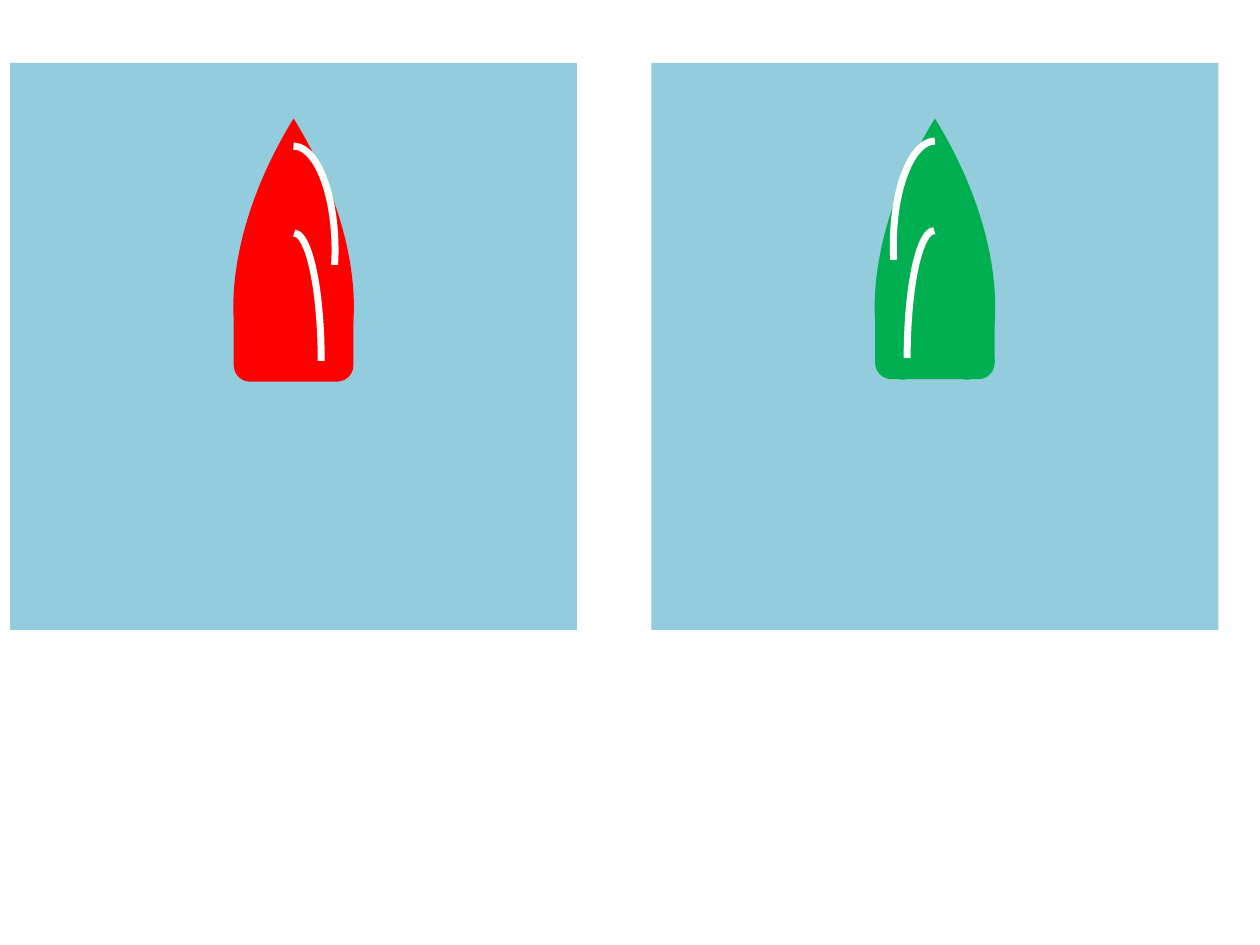
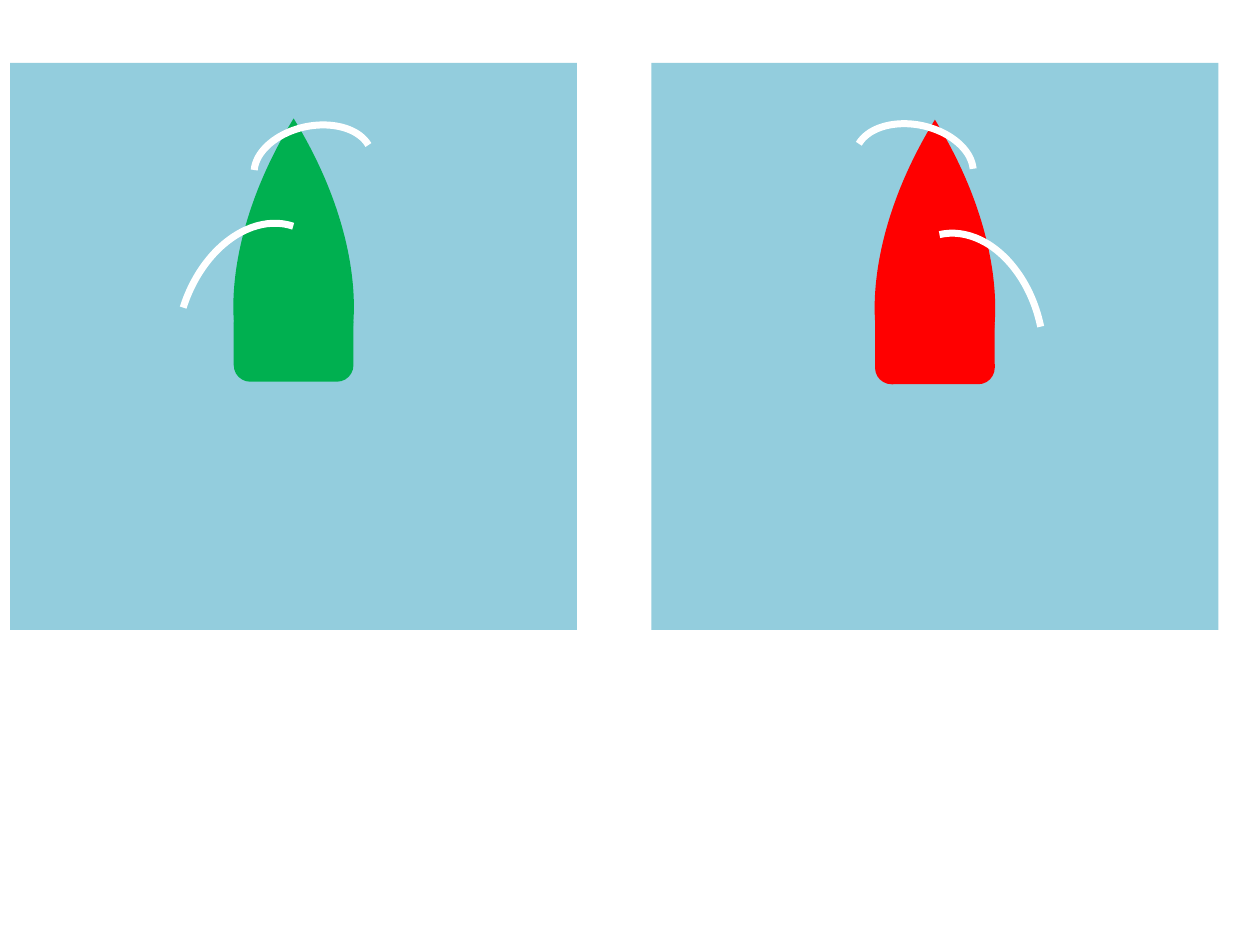
from dataclasses import dataclass
from pptx import Presentation
from pptx.dml.color import RGBColor as RGB
from pptx.enum.shapes import MSO_SHAPE as Kind
from pptx.oxml.ns import qn
from pptx.util import Inches, Pt


@dataclass(frozen=True)
class Theme:
    water: RGB = RGB(0x93, 0xCD, 0xDD)
    port: RGB = RGB(0xFF, 0x00, 0x00)
    starboard: RGB = RGB(0x00, 0xB0, 0x50)
    sail: RGB = RGB(0xFF, 0xFF, 0xFF)
    stroke: float = 4


@dataclass(frozen=True)
class Sail:
    left: float
    top: float
    width: float
    height: float
    start: float = 270
    end: float = 0
    turn: float = 0
    flip: bool = False


@dataclass(frozen=True)
class Boat:
    color: RGB
    bow: float
    stern: float
    sails: tuple


THEME = Theme()
SIDE = 4.5
TOP = 0.5
LEFTS = (0.08, 5.17)
BEAM = 0.95


def add_part(shapes, kind, left, top, width, height):
    part = shapes.add_shape(kind, Inches(left), Inches(top),
                            Inches(width), Inches(height))
    part.shadow.inherit = False
    part.line.fill.background()
    return part


def paint(part, color):
    part.fill.solid()
    part.fill.fore_color.rgb = color


def draw_hull(shapes, left, top, boat):
    x = left + (SIDE - BEAM) / 2
    bow = add_part(shapes, Kind.HEART, x, top + boat.bow, BEAM, 2.1)
    bow.rotation = 180
    stern = add_part(shapes, Kind.ROUNDED_RECTANGLE, x, top + boat.stern, BEAM, 0.6)
    stern.adjustments[0] = 0.218
    for part in (bow, stern):
        paint(part, boat.color)


def draw_sail(shapes, left, top, sail):
    arc = add_part(shapes, Kind.ARC, left + sail.left, top + sail.top,
                   sail.width, sail.height)
    arc.adjustments[0] = sail.start * 0.6
    arc.adjustments[1] = sail.end * 0.6
    arc.rotation = sail.turn
    if sail.flip:
        arc.element.spPr.find(qn("a:xfrm")).set("flipH", "1")
    arc.fill.background()
    arc.line.color.rgb = THEME.sail
    arc.line.width = Pt(THEME.stroke)


def draw_boat(slide, left, top, boat):
    shapes = slide.shapes.add_group_shape().shapes
    draw_hull(shapes, left, top, boat)
    for sail in boat.sails:
        draw_sail(shapes, left, top, sail)


def draw_slide(deck, boats):
    slide = deck.slides.add_slide(deck.slide_layouts[6])
    for left in LEFTS:
        paint(add_part(slide.shapes, Kind.RECTANGLE, left, TOP, SIDE, SIDE), THEME.water)
    for left, boat in zip(LEFTS, boats):
        draw_boat(slide, left, TOP, boat)


CLOSE = (
    Boat(THEME.port, 0.44, 1.93, (
        Sail(1.92, 0.66, 0.66, 1.65, end=19.75),
        Sail(2.04, 1.35, 0.43, 2.03))),
    Boat(THEME.starboard, 0.44, 1.91, (
        Sail(1.92, 0.62, 0.66, 1.65, end=19.75, flip=True),
        Sail(2.03, 1.33, 0.43, 2.02, flip=True))),
)
WIDE = (
    Boat(THEME.starboard, 0.44, 1.93, (
        Sail(2.09, 0.34, 0.63, 0.95, 278.02, 81.67, 257.8),
        Sail(1.35, 1.25, 1.24, 1.73, end=2.47, turn=18.7, flip=True))),
    Boat(THEME.port, 0.45, 1.95, (
        Sail(1.77, 0.33, 0.63, 0.95, 278.02, 81.67, 102.2, True),
        Sail(1.86, 1.34, 1.24, 1.73, end=2.47, turn=347.1))),
)

deck = Presentation()
deck.slide_width = Inches(10)
deck.slide_height = Inches(7.5)
for boats in (CLOSE, WIDE):
    draw_slide(deck, boats)
deck.save("out.pptx")
